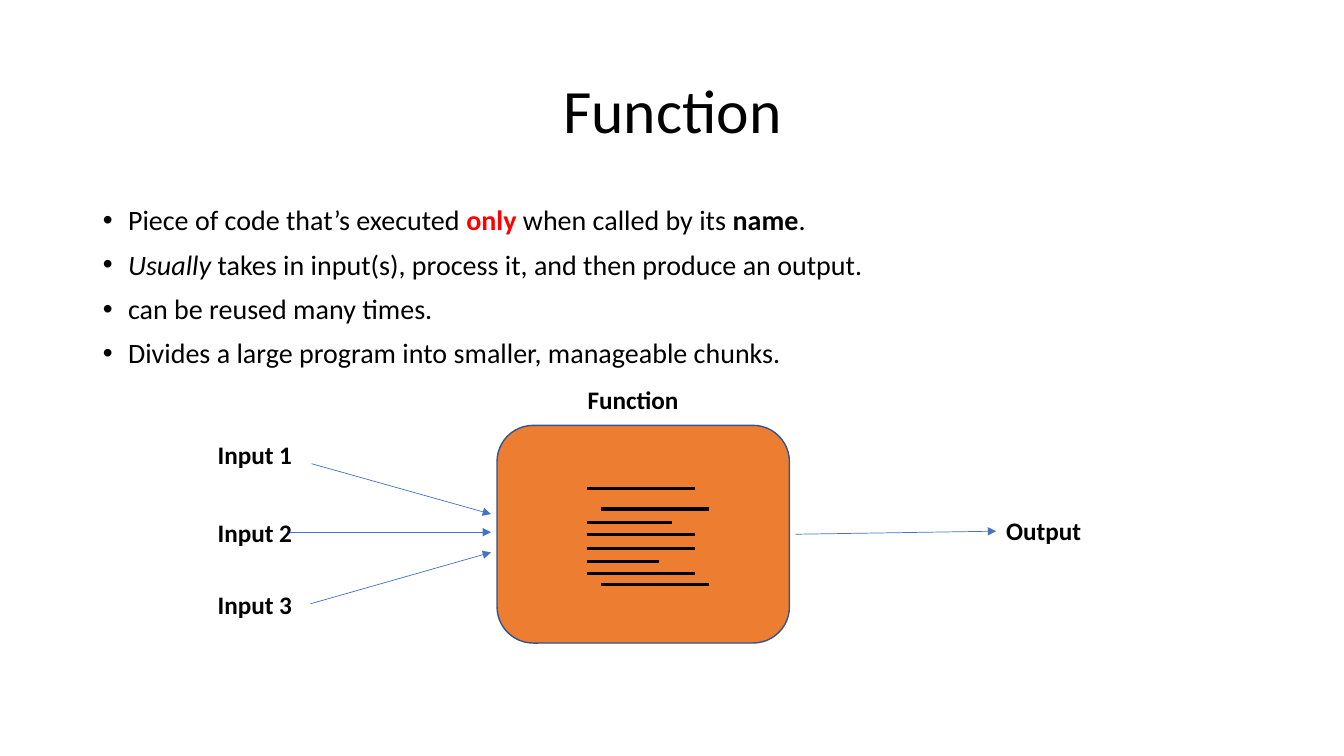
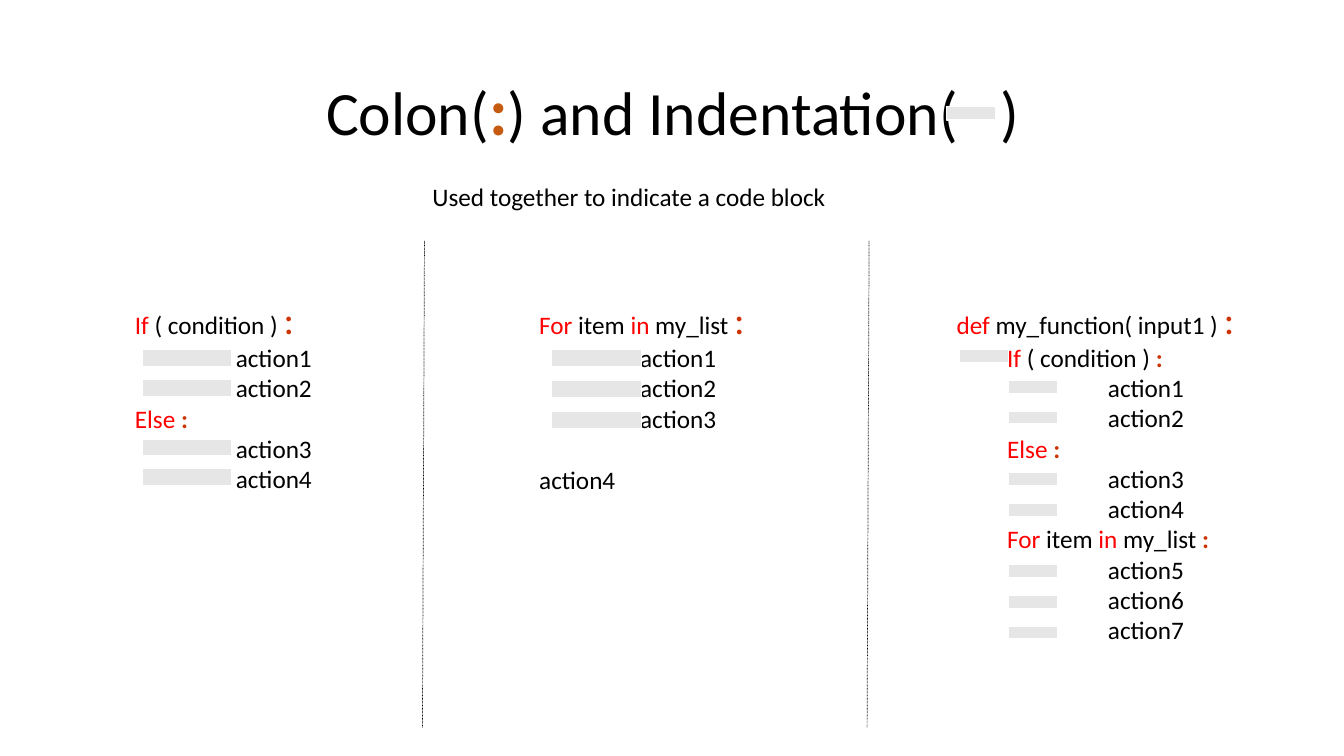
from pptx import Presentation
from pptx.util import Inches, Pt
from pptx.dml.color import RGBColor
from pptx.enum import dml, shapes, text
from pptx.oxml.ns import qn
from lxml import etree

FONT = "Calibri"
BLACK = RGBColor(0, 0, 0)
WHITE = RGBColor(255, 255, 255)
RED = RGBColor(255, 0, 0)
RUST = RGBColor(0xCC, 0x33, 0)
BROWN = RGBColor(0xC5, 0x5A, 0x11)
ORANGE = RGBColor(0xED, 0x7D, 0x31)
NAVY = RGBColor(0x32, 0x54, 0x91)
BLUE = RGBColor(0x44, 0x72, 0xC4)
GREY = RGBColor(0xE7, 0xE6, 0xE6)
BAR_TOP = 3.47


def add_run(para, words, size=18, color=BLACK, bold=False, slant=False):
    """Add one formatted run and return it."""
    run = para.add_run()
    run.text = words
    font = run.font
    font.name, font.size, font.bold, font.italic = FONT, Pt(size), bold, slant
    font.color.rgb = color
    return run


def place(item, box):
    """Move an item to a box given in inches."""
    item.left, item.top, item.width, item.height = map(Inches, box)


def add_title(slide):
    """Place the title and return its paragraph."""
    title = slide.shapes.title
    place(title, (0.92, 0.4, 11.5, 1.45))
    title.text_frame.vertical_anchor = text.MSO_ANCHOR.MIDDLE
    para = title.text_frame.paragraphs[0]
    para.alignment = text.PP_ALIGN.CENTER
    para.line_spacing = 0.9
    return para


def indent(para, left, first=0):
    """Set the left margin and first-line indent in inches."""
    props = para._p.get_or_add_pPr()
    props.set("marL", str(Inches(left)))
    props.set("indent", str(Inches(first)))
    return props


def add_list(body, items):
    """Fill the body placeholder with bulleted runs."""
    place(body, (0.92, 2, 11.5, 4.76))
    frame = body.text_frame
    frame.auto_size = text.MSO_AUTO_SIZE.NONE
    for num, runs in enumerate(items):
        para = frame.add_paragraph() if num else frame.paragraphs[0]
        para.line_spacing, para.space_before = 0.9, Pt(10)
        props = indent(para, 0.25, -0.25)
        etree.SubElement(props, qn("a:buFont")).set("typeface", "Arial")
        etree.SubElement(props, qn("a:buChar")).set("char", "•")
        for words, style in runs:
            add_run(para, words, 20, **style)


def add_box(slide, box):
    """Add a wrapping text box and return its frame."""
    frame = slide.shapes.add_textbox(*map(Inches, box)).text_frame
    frame.word_wrap = True
    frame.auto_size = text.MSO_AUTO_SIZE.SHAPE_TO_FIT_TEXT
    return frame


def add_label(slide, words, box, bold=True):
    """Add a one-line label."""
    add_run(add_box(slide, box).paragraphs[0], words, bold=bold)


def add_line(slide, start, end, color, width, arrow=False, dash=None):
    """Draw a straight line, with an arrowhead or dashes if asked."""
    line = slide.shapes.add_connector(
        shapes.MSO_CONNECTOR.STRAIGHT, *map(Inches, start + end))
    line.line.color.rgb = color
    line.line.width = Pt(width)
    if dash:
        line.line.dash_style = dash
    if arrow:
        tail = etree.SubElement(line.line._get_or_add_ln(), qn("a:tailEnd"))
        tail.set("type", "triangle")
    etree.SubElement(line._element.spPr, qn("a:effectLst"))


def add_block(slide, kind, box, fill, edge):
    """Draw a filled preset shape with a one-point edge."""
    block = slide.shapes.add_shape(kind, *map(Inches, box))
    block.shadow.inherit = False
    block.fill.solid()
    block.fill.fore_color.rgb = fill
    block.line.color.rgb = edge
    block.line.width = Pt(1)


def add_bar(slide, box):
    """Draw a grey bar that marks an indent."""
    add_block(slide, shapes.MSO_SHAPE.RECTANGLE, box, GREY, WHITE)


def draw_flow(slide, box):
    """Draw the function block with its inputs and output."""
    left, top, width, height = box
    add_block(slide, shapes.MSO_SHAPE.ROUNDED_RECTANGLE, box, ORANGE, NAVY)
    add_label(slide, "Function", (left + 0.8, top - 0.46, 1.87, 0.4))
    tip = left - 0.06
    inputs = [(0.09, (3.09, 4.6), 5.1), (0.86, (2.88, 5.28), 5.28),
              (1.58, (3.08, 5.99), 5.48)]
    for num, (drop, start, end) in enumerate(inputs, 1):
        add_label(slide, f"Input {num}", (2.06, top + drop, 1.38, 0.4))
        add_line(slide, start, (tip, end), BLUE, 0.5, arrow=True)
    edge = left + width + 0.06
    add_line(slide, (edge, 5.3), (edge + 1.99, 5.27), BLUE, 0.5, arrow=True)
    add_label(slide, "Output", (edge + 1.99, 5.06, 1.38, 0.4))
    code = [(0, 0.63, 1.07), (0.14, 0.83, 1.07), (0, 0.96, 0.85),
            (0, 1.08, 1.07), (0, 1.22, 1.07), (0, 1.35, 0.72),
            (0, 1.47, 1.07), (0.14, 1.58, 1.07)]
    for shift, drop, length in code:
        start = left + 0.89 + shift
        add_line(slide, (start, top + drop), (start + length, top + drop),
                 BLACK, 2.25)


def draw_code(slide, box, head, rows, inset, bar, last):
    """Write a code sample, with bars evenly spaced down to the last row."""
    frame = add_box(slide, box)
    para = frame.paragraphs[0]
    for words, color in head:
        add_run(para, words, color=color)
    add_run(para, ":", 28, RUST)
    wide, high = bar
    marked = [num for num, row in enumerate(rows) if row[1] is not None]
    pitch = (last - BAR_TOP) / marked[-1]
    for num, (margin, level, runs) in enumerate(rows):
        para = frame.add_paragraph()
        indent(para, margin)
        for words, color in runs:
            add_run(para, words, color=color, bold=color == RUST)
        if level is not None:
            add_bar(slide, (box[0] + inset + level * wide,
                            BAR_TOP + num * pitch, wide, high))
    return frame


def act(num, margin=1, level=0):
    """Return the row of one numbered action."""
    return margin, level, [(f"action{num}", BLACK)]


def make_intro(deck):
    """Build the slide that explains a function."""
    slide = deck.slides.add_slide(deck.slide_layouts[1])
    add_run(add_title(slide), "Function", 44)
    add_list(slide.placeholders[1], [
        [("Piece of code that’s executed ", {}),
         ("only", {"color": RED, "bold": True}),
         (" when called by its ", {}), ("name", {"bold": True}), (".", {})],
        [("Usually", {"slant": True}),
         (" takes in input(s), process it, and then produce an output.", {})],
        [("can be reused many times.", {})],
        [("Divides a large program into smaller, manageable chunks.", {})]])
    draw_flow(slide, (4.93, 4.22, 2.9, 2.16))


def make_syntax(deck):
    """Build the slide on colons and indentation."""
    slide = deck.slides.add_slide(deck.slide_layouts[5])
    para = add_title(slide)
    add_run(para, "Colon(", 44)
    add_run(para, ":", 48, BROWN, True)
    add_run(para, ") and Indentation(", 44)
    gap = add_run(para, " ", 44)
    gap.font._element.set("spc", "1990")
    add_run(para, ")", 44)
    add_label(slide, "Used together to indicate a code block",
              (4.19, 1.75, 9.62, 0.4), False)

    test = [("If", RED), (" ( condition ) ", BLACK)]
    loop = [("For", RED), (" item ", BLACK), ("in", RED), (" my_list ", BLACK)]
    other = [("Else ", RED), (":", RUST)]
    colon = [(":", RUST)]
    wide, slim = (0.89, 0.17), (0.49, 0.13)
    draw_code(slide, (1.24, 2.88, 2.56, 2.09), test,
              [act(1), act(2), (0, None, other), act(3), act(4)],
              0.17, wide, 4.65)
    frame = draw_code(slide, (5.25, 2.88, 2.56, 2.39), loop,
                      [act(1), act(2), act(3), act(4, 0, None)],
                      0.22, wide, 4.08)
    frame.paragraphs[-1].space_before = Pt(22)
    deep = [act(num, 1.5, 1) for num in range(1, 8)]
    draw_code(slide, (9.39, 2.88, 3.02, 3.9),
              [("def", RED), (" my_function( input1 ) ", BLACK)],
              [(0.5, 0, test + colon), *deep[:2], (0.5, None, other),
               *deep[2:4], (0.5, None, loop + colon), *deep[4:]],
              0.12, slim, 6.21)
    for mid in (4.2, 8.61):
        add_line(slide, (mid + 0.01, 2.39), (mid - 0.01, 7.22), BLACK, 0.5,
                 dash=dml.MSO_LINE.ROUND_DOT)
    add_bar(slide, (9.39, 1.06, *slim))


deck = Presentation()
deck.slide_width, deck.slide_height = Inches(13.33), Inches(7.5)
make_intro(deck)
make_syntax(deck)
deck.save("out.pptx")
